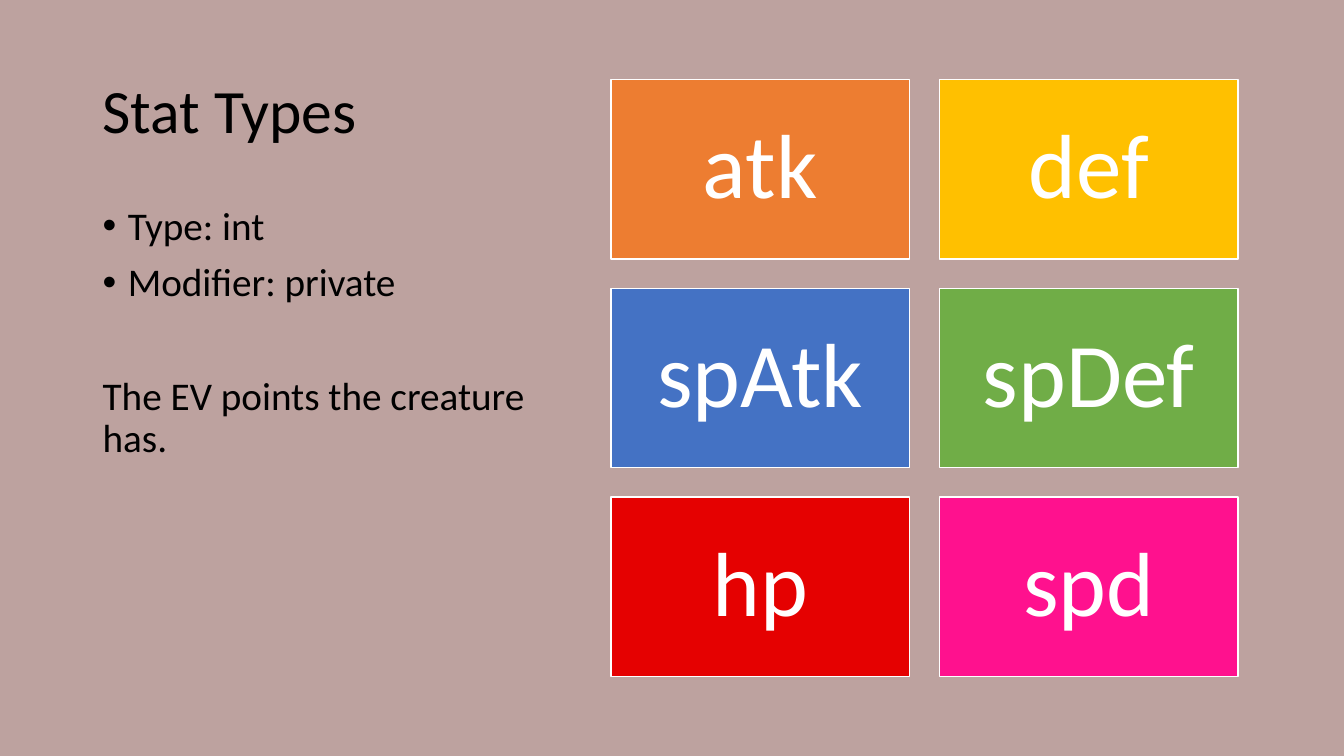
from typing import NamedTuple

from lxml.etree import SubElement
from pptx import Presentation
from pptx.dml.color import RGBColor
from pptx.enum.shapes import MSO_SHAPE
from pptx.enum.text import MSO_ANCHOR, PP_ALIGN
from pptx.oxml.ns import qn
from pptx.slide import Slide
from pptx.text.text import TextFrame
from pptx.util import Inches, Pt

BACKGROUND = RGBColor(0xBD, 0xA2, 0x9F)
BLACK = RGBColor(0x00, 0x00, 0x00)
WHITE = RGBColor(0xFF, 0xFF, 0xFF)
ORANGE = RGBColor(0xED, 0x7D, 0x31)
GOLD = RGBColor(0xFF, 0xC0, 0x00)
BLUE = RGBColor(0x44, 0x72, 0xC4)
GREEN = RGBColor(0x70, 0xAD, 0x47)
RED = RGBColor(0xE5, 0x01, 0x01)
PINK = RGBColor(0xFF, 0x11, 0x8E)

TILE_LEFT, TILE_TOP = Inches(6.06), Inches(0.79)
TILE_WIDTH, TILE_HEIGHT = Inches(2.96), Inches(1.78)
COLUMN_GAP, ROW_GAP = Inches(0.3), Inches(0.29)
TILE_INSET = Inches(0.27)
COLUMNS = 2


class Stat(NamedTuple):
    """A stat name and its tile colour."""

    name: str
    color: RGBColor


class Line(NamedTuple):
    """A paragraph of the description."""

    text: str
    space_before: int = 10
    bulleted: bool = False


STATS = [
    Stat("atk", ORANGE), Stat("def", GOLD),
    Stat("spAtk", BLUE), Stat("spDef", GREEN),
    Stat("hp", RED), Stat("spd", PINK),
]
DESCRIPTION = [
    Line("Type: int", bulleted=True),
    Line("Modifier: private", bulleted=True),
    Line("The EV points the creature has.", space_before=51),
]


def write_lines(frame: TextFrame, lines: list[Line], size: int, color: RGBColor) -> None:
    """Fill a text frame with uniformly styled paragraphs."""
    frame.word_wrap = True
    frame.text = "\n".join(line.text for line in lines)
    for paragraph, line in zip(frame.paragraphs, lines):
        paragraph.line_spacing = 0.9
        paragraph.space_before = Pt(line.space_before)
        paragraph.font.name = "Calibri"
        paragraph.font.size = Pt(size)
        paragraph.font.color.rgb = color
        if line.bulleted:
            properties = paragraph._p.get_or_add_pPr()
            properties.set("marL", str(Inches(0.25)))
            properties.set("indent", str(-Inches(0.25)))
            bullet_font = SubElement(properties, qn("a:buFont"))
            bullet_font.set("typeface", "Arial")
            SubElement(properties, qn("a:buChar")).set("char", "•")
            default_font = properties.find(qn("a:defRPr"))
            properties.append(default_font)


def add_stat_tile(slide: Slide, stat: Stat, index: int) -> None:
    """Draw one stat tile at its place in the grid."""
    row, column = divmod(index, COLUMNS)
    tile = slide.shapes.add_shape(
        MSO_SHAPE.RECTANGLE,
        TILE_LEFT + column * (TILE_WIDTH + COLUMN_GAP),
        TILE_TOP + row * (TILE_HEIGHT + ROW_GAP),
        TILE_WIDTH,
        TILE_HEIGHT,
    )
    tile.shadow.inherit = False
    tile.fill.solid()
    tile.fill.fore_color.rgb = stat.color
    tile.line.color.rgb = WHITE
    tile.line.width = Pt(1)
    frame = tile.text_frame
    frame.margin_left = frame.margin_right = TILE_INSET
    frame.margin_top = frame.margin_bottom = TILE_INSET
    frame.vertical_anchor = MSO_ANCHOR.MIDDLE
    write_lines(frame, [Line(stat.name, space_before=0)], 65, WHITE)
    frame.paragraphs[0].alignment = PP_ALIGN.CENTER


def main() -> None:
    """Build and save the stat types slide."""
    presentation = Presentation()
    presentation.slide_width = Inches(13.33)
    presentation.slide_height = Inches(7.5)
    slide = presentation.slides.add_slide(presentation.slide_layouts[6])
    slide.background.fill.solid()
    slide.background.fill.fore_color.rgb = BACKGROUND

    title = slide.shapes.add_textbox(Inches(0.92), Inches(0.4), Inches(11.5), Inches(1.45))
    title.text_frame.vertical_anchor = MSO_ANCHOR.MIDDLE
    write_lines(title.text_frame, [Line("Stat Types", space_before=0)], 44, BLACK)

    description = slide.shapes.add_textbox(Inches(0.92), Inches(2), Inches(4.94), Inches(4.76))
    write_lines(description.text_frame, DESCRIPTION, 28, BLACK)

    for index, stat in enumerate(STATS):
        add_stat_tile(slide, stat, index)

    presentation.save("out.pptx")


main()
